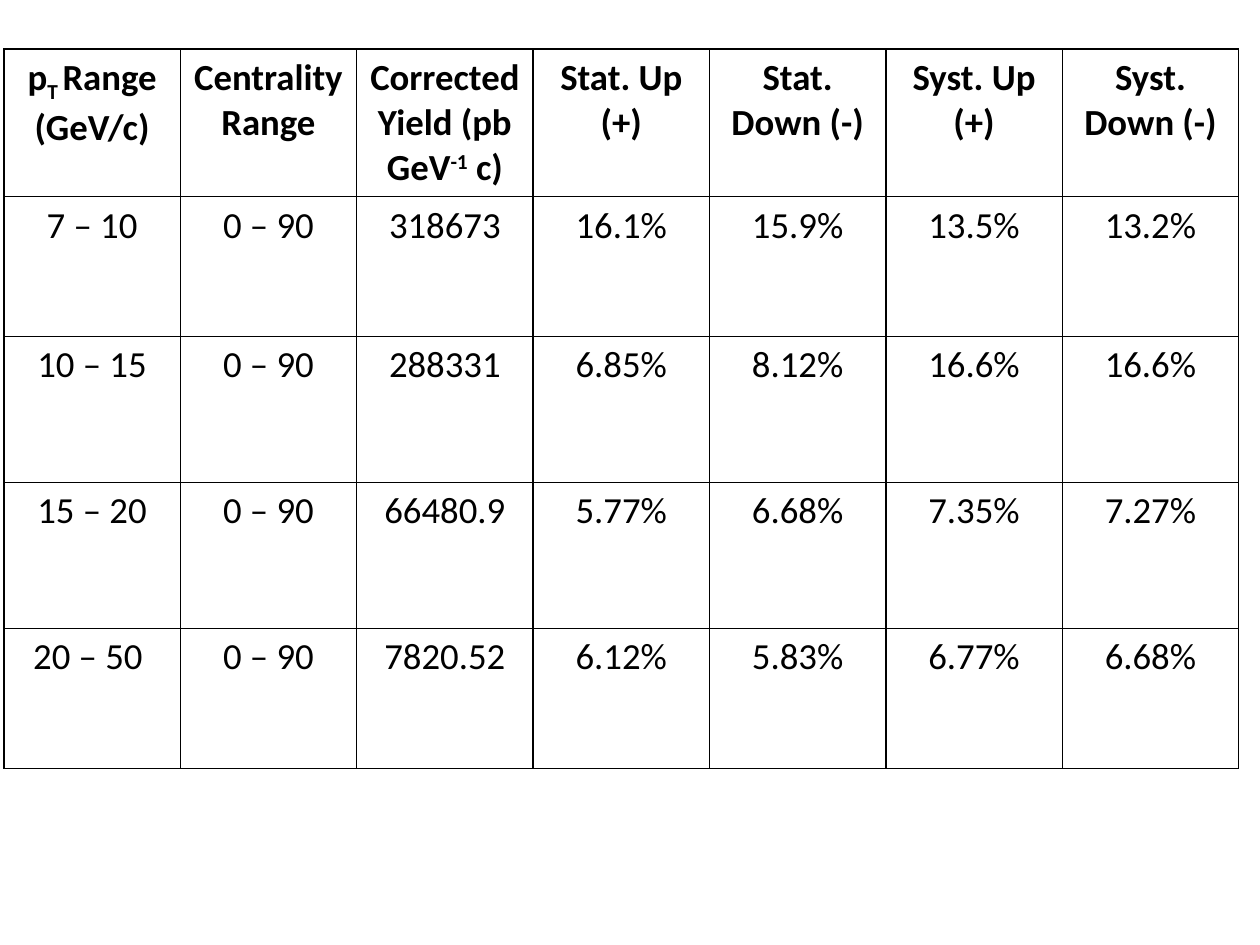
import pptx
import pptx.dml.color
import pptx.enum.text
import pptx.oxml
import pptx.oxml.ns
import pptx.util

Pt = pptx.util.Pt

BLACK = "000000"
COLUMN_WIDTH = 100.8
ROW_HEIGHTS = [84.2, 79.9, 83.5, 83.5, 79.9]
TABLE_BOX = (2.2, 28.1, 7 * COLUMN_WIDTH, sum(ROW_HEIGHTS))

# Each header is a list of (text, baseline shift in percent).
HEADERS = [
    [("p", 0), ("T ", -25), ("Range (GeV/c)", 0)],
    [("Centrality Range", 0)],
    [("Corrected Yield (pb GeV", 0), ("-1", 30), (" c)", 0)],
    [("Stat. Up (+)", 0)],
    [("Stat. Down (-)", 0)],
    [("Syst. Up (+)", 0)],
    [("Syst. Down (-)", 0)],
]
YIELDS = [
    ["7 – 10", "0 – 90", "318673", "16.1%", "15.9%", "13.5%", "13.2%"],
    ["10 – 15", "0 – 90", "288331", "6.85%", "8.12%", "16.6%", "16.6%"],
    ["15 – 20", "0 – 90", "66480.9", "5.77%", "6.68%", "7.35%", "7.27%"],
    ["20 – 50 ", "0 – 90", "7820.52", "6.12%", "5.83%", "6.77%", "6.68%"],
]


def color(hex_value):
    return pptx.dml.color.RGBColor.from_string(hex_value)


def set_borders(cell, hex_value, width):
    properties = cell._tc.get_or_add_tcPr()
    for side in ("lnL", "lnR", "lnT", "lnB"):
        properties.append(pptx.oxml.parse_xml(
            f'<a:{side} {pptx.oxml.ns.nsdecls("a")} w="{Pt(width)}">'
            f'<a:solidFill><a:srgbClr val="{hex_value}"/></a:solidFill>'
            f'</a:{side}>'))


def fill_cell(cell, pieces, bold):
    set_borders(cell, BLACK, 1)
    cell.fill.background()
    para = cell.text_frame.paragraphs[0]
    para.alignment = pptx.enum.text.PP_ALIGN.CENTER
    font_format = {"name": "Calibri", "size": Pt(21), "bold": bold}
    for text, baseline in pieces:
        span = para.add_run()
        span.text = text
        for name, value in font_format.items():
            setattr(span.font, name, value)
        span.font.color.rgb = color(BLACK)
        if baseline:
            span._r.get_or_add_rPr().set("baseline", str(baseline * 1000))


def add_yield_table(page, box):
    rows = [HEADERS] + [[[(text, 0)] for text in row] for row in YIELDS]
    table = page.shapes.add_table(
        len(rows), len(HEADERS), *map(Pt, box)).table
    table.horz_banding = False
    for column in table.columns:
        column.width = Pt(box[2] / len(HEADERS))
    for row_index, row in enumerate(rows):
        table.rows[row_index].height = Pt(ROW_HEIGHTS[row_index])
        for column_index, pieces in enumerate(row):
            fill_cell(table.cell(row_index, column_index), pieces,
                      bold=row_index == 0)


def main():
    deck = pptx.Presentation()
    deck.slide_width, deck.slide_height = Pt(720), Pt(540)
    page = deck.slides.add_slide(deck.slide_layouts[6])
    add_yield_table(page, TABLE_BOX)
    deck.save("out.pptx")


if __name__ == "__main__":
    main()
